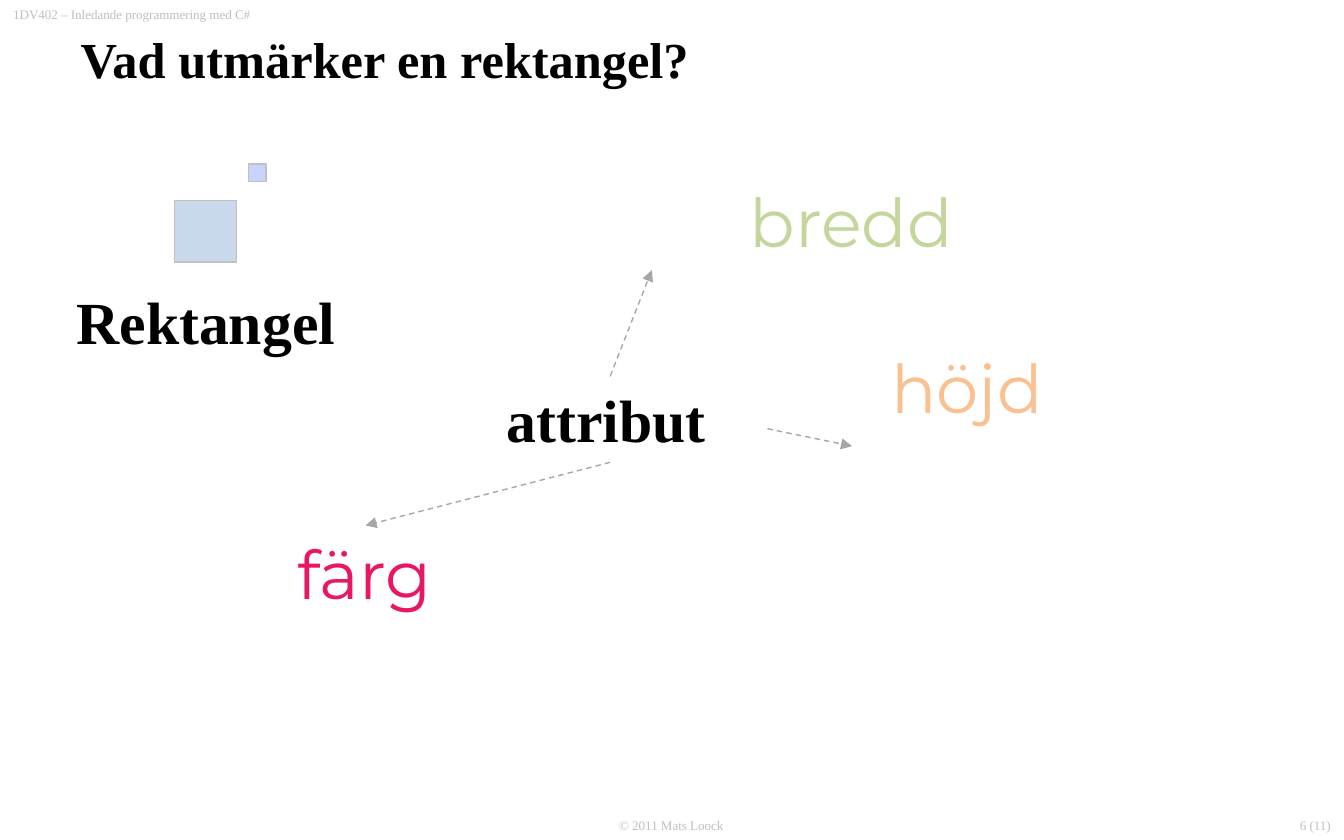
from lxml import etree
from pptx import Presentation
from pptx import util as u
from pptx.dml.color import RGBColor
from pptx.enum import dml, shapes, text
from pptx.oxml.ns import qn

BLACK = RGBColor(0, 0, 0)
PALE = RGBColor(0xBF, 0xBF, 0xBF)
EDGE = RGBColor(0xC0, 0xC0, 0xC0)
GREY = RGBColor(0xA6, 0xA6, 0xA6)
STEEL = RGBColor(0x4F, 0x81, 0xBD)
BLUE = RGBColor(0x33, 0x66, 0xFF)
GREEN = RGBColor(0xC3, 0xD6, 0x9B)
PEACH = RGBColor(0xFA, 0xC0, 0x90)
PINK = RGBColor(0xE8, 0x17, 0x66)
SERIF, SANS = "Times New Roman", "Montserrat"
LEFT, MID, RIGHT = text.PP_ALIGN.LEFT, text.PP_ALIGN.CENTER, text.PP_ALIGN.RIGHT
TOP, BASE = text.MSO_ANCHOR.TOP, text.MSO_ANCHOR.BOTTOM

WIDE, HIGH = 10, 6.25
TITLE = "Vad utmärker en rektangel?"
EDGES = [
    ("6 (11)", (8.33, 6.03, 1.67, 0.22), RIGHT, BASE),
    ("© 2011 Mats Loock", (4.13, 6.03, 1.73, 0.22), MID, BASE),
    ("1DV402 – Inledande programmering med C#", (0, 0, 4.58, 0.34), LEFT, TOP),
]
HEADS = [
    ("Rektangel", (0.47, 2.07, 2.15, 0.64)),
    ("attribut", (3.67, 2.8, 1.74, 0.64)),
]
TRAITS = [
    ("bredd", (3.03, 1.29, 6.61, 0.53), GREEN),
    ("höjd", (6.57, 2.53, 1.25, 3.28), PEACH),
    ("färg", (1.69, 3.91, 2.05, 1.18), PINK),
]
SQUARES = [(1.3, 1.49, 0.46, STEEL, 30), (1.85, 1.22, 0.13, BLUE, 28)]
ARROWS = [
    (4.54, 2.8, 4.85, 2.01),
    (4.54, 3.44, 2.72, 3.91),
    (5.71, 3.19, 6.34, 3.32),
]


def inch(nums):
    return [u.Inches(n) for n in nums]


def write(frame, words, size, font, tint, bold=False, align=LEFT, anchor=TOP, wrap=True, side=0.1):
    frame.word_wrap = wrap
    frame.vertical_anchor = anchor
    frame.margin_left = frame.margin_right = u.Inches(side)
    para = frame.paragraphs[0]
    para.alignment = align
    run = para.add_run()
    run.text = words
    run.font.size = u.Pt(size)
    run.font.name = font
    run.font.bold = bold
    run.font.color.rgb = tint


def label(words, box, *look, **more):
    write(slide.shapes.add_textbox(*inch(box)).text_frame, words, *look, **more)


def square(left, top, side, tint, alpha):
    box = slide.shapes.add_shape(shapes.MSO_SHAPE.RECTANGLE, *inch((left, top, side, side)))
    box.shadow.inherit = False
    box.fill.solid()
    box.fill.fore_color.rgb = tint
    clear = next(box._element.spPr.iter(qn("a:srgbClr")))
    etree.SubElement(clear, qn("a:alpha")).set("val", str(alpha * 1000))
    box.line.color.rgb = EDGE
    box.line.width = u.Pt(0.75)


def arrow(*ends):
    link = slide.shapes.add_connector(shapes.MSO_CONNECTOR.STRAIGHT, *inch(ends))
    link.line.color.rgb = GREY
    link.line.width = u.Pt(0.75)
    link.line.dash_style = dml.MSO_LINE.DASH
    props = link._element.spPr
    etree.SubElement(props.find(qn("a:ln")), qn("a:tailEnd")).set("type", "triangle")
    etree.SubElement(props, qn("a:effectLst"))


deck = Presentation()
deck.slide_width, deck.slide_height = inch((WIDE, HIGH))
slide = deck.slides.add_slide(deck.slide_layouts[5])

for words, box, align, anchor in EDGES:
    label(words, box, 7, SERIF, PALE, align=align, anchor=anchor)

title = slide.shapes.title
title.left, title.top, title.width, title.height = inch((0.5, 0.11, 9, 0.65))
frame = title.text_frame
frame.margin_top = frame.margin_bottom = u.Inches(0.1)
frame.auto_size = text.MSO_AUTO_SIZE.NONE
write(frame, TITLE, 27, SERIF, BLACK, bold=True)

for item in SQUARES:
    square(*item)
for words, box in HEADS:
    label(words, box, 32, SERIF, BLACK, bold=True, wrap=False)
for words, box, tint in TRAITS:
    label(words, box, 36, SANS, tint, align=MID, wrap=False, side=0)
for ends in ARROWS:
    arrow(*ends)

deck.save("out.pptx")
